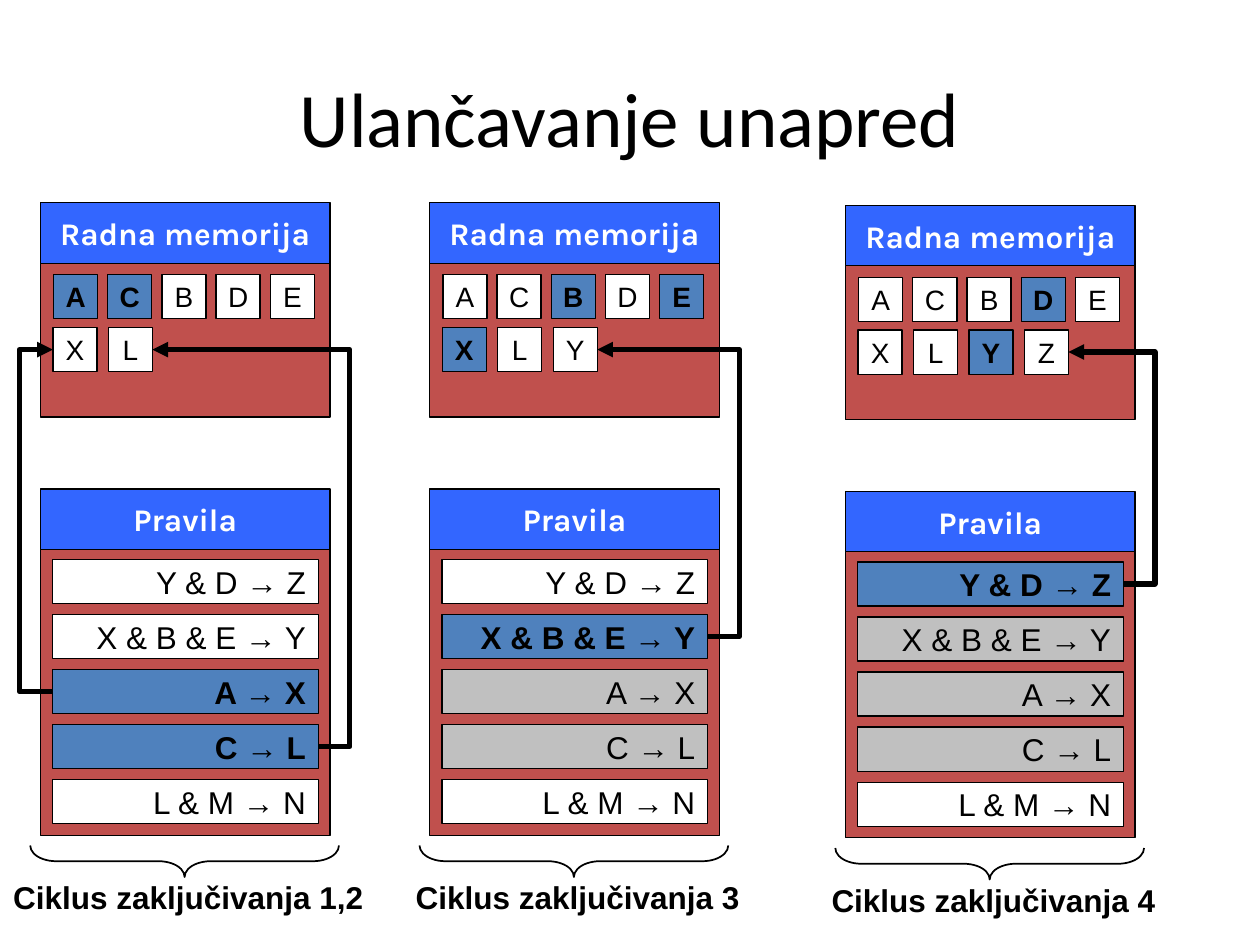
from dataclasses import dataclass

from lxml import etree
from pptx import Presentation
from pptx.dml.color import RGBColor
from pptx.enum.shapes import MSO_CONNECTOR, MSO_SHAPE
from pptx.enum.text import MSO_ANCHOR, PP_ALIGN
from pptx.oxml.ns import qn
from pptx.util import Inches, Pt

RECTANGLE, BRACE = MSO_SHAPE.RECTANGLE, MSO_SHAPE.LEFT_BRACE
ELBOW = MSO_CONNECTOR.ELBOW
TOP, MIDDLE = MSO_ANCHOR.TOP, MSO_ANCHOR.MIDDLE
CENTER, RIGHT = PP_ALIGN.CENTER, PP_ALIGN.RIGHT

BLACK = RGBColor(0x00, 0x00, 0x00)
WHITE = RGBColor(0xFF, 0xFF, 0xFF)
HEADER_BLUE = RGBColor(0x33, 0x66, 0xFF)
PANEL_RED = RGBColor(0xC0, 0x50, 0x4D)
ACTIVE_BLUE = RGBColor(0x4F, 0x81, 0xBD)
SPENT_GRAY = RGBColor(0xC0, 0xC0, 0xC0)

COLUMNS, ROWS = 100, 75
PANEL_WIDTH, HEADER_HEIGHT = 23, 4.8
FACT_SIZE = 3.5
FACT_ROWS = ((1.05, 5.7, 4.3), (1, 9.9, 4.4))
RULE_LEFT, RULE_TOP, RULE_PITCH = 0.97, 28.3, 4.37
RULE_WIDTH, RULE_HEIGHT = 21.1, 3.5
ELBOW_REACH = 2.5

RULES = ("Y & D → Z", "X & B & E → Y", "A → X", "C → L", "L & M → N")


@dataclass
class Cycle:
    """One inference cycle: its place, facts, rules and conclusions."""
    number: str
    left: float
    top: float
    derived: str
    active_facts: str
    active_rules: tuple
    spent_rules: tuple


CYCLES = (
    Cycle("1,2", 3.2, 16.1, "XL", "AC", (2, 3), ()),
    Cycle("3", 34.1, 16.1, "XLY", "BEX", (1,), (2, 3)),
    Cycle("4", 67.1, 16.3, "XLYZ", "DY", (0,), (1, 2, 3)),
)


class ChainingSlide:
    """Draws parts of the chaining diagram on a grid of columns and rows."""

    def __init__(self, deck):
        self.column = deck.slide_width / COLUMNS
        self.row = deck.slide_height / ROWS
        self.shapes = deck.slides.add_slide(deck.slide_layouts[6]).shapes

    def place(self, left, top, width, height):
        return (round(left * self.column), round(top * self.row),
                round(width * self.column), round(height * self.row))

    def add_words(self, shape, words, size, font="Arial", color=BLACK,
                  bold=False, align=CENTER, anchor=MIDDLE, wrap=False):
        frame = shape.text_frame
        frame.word_wrap = wrap
        frame.vertical_anchor = anchor
        paragraph = frame.paragraphs[0]
        paragraph.alignment = align
        run = paragraph.add_run()
        run.text = words
        run.font.size = Pt(size)
        run.font.name = font
        run.font.bold = bold
        run.font.color.rgb = color

    def label(self, box, words, size, **style):
        self.add_words(self.shapes.add_textbox(*self.place(*box)), words, size, **style)

    def block(self, box, fill):
        block = self.shapes.add_shape(RECTANGLE, *self.place(*box))
        block.shadow.inherit = False
        block.fill.solid()
        block.fill.fore_color.rgb = fill
        block.line.color.rgb = BLACK
        block.line.width = Pt(0.75)
        return block

    def panel(self, left, top, height, heading):
        self.block((left, top + HEADER_HEIGHT - 0.1, PANEL_WIDTH, height), PANEL_RED)
        header = self.block((left, top, PANEL_WIDTH, HEADER_HEIGHT), HEADER_BLUE)
        self.add_words(header, heading, 18, font="Karla", color=WHITE, bold=True)

    def facts(self, cycle):
        for letters, (start, drop, pitch) in zip(("ACBDE", cycle.derived), FACT_ROWS):
            for index, letter in enumerate(letters):
                active = letter in cycle.active_facts
                fact = self.block((cycle.left + start + index * pitch, cycle.top + drop,
                                   FACT_SIZE, FACT_SIZE), ACTIVE_BLUE if active else WHITE)
                self.add_words(fact, letter, 16, bold=active)

    def rules(self, cycle):
        for index, words in enumerate(RULES):
            active = index in cycle.active_rules
            idle = SPENT_GRAY if index in cycle.spent_rules else WHITE
            rule = self.block((cycle.left + RULE_LEFT, cycle.top + RULE_TOP + index * RULE_PITCH,
                               RULE_WIDTH, RULE_HEIGHT), ACTIVE_BLUE if active else idle)
            self.add_words(rule, words, 18, bold=active, align=RIGHT)

    def arrow(self, start, end, bend):
        left, top, right, bottom = self.place(*start, *end)
        arrow = self.shapes.add_connector(ELBOW, left, top, right, bottom)
        arrow.line.color.rgb = BLACK
        arrow.line.width = Pt(3)
        properties = arrow._element.spPr
        guides = properties.find(qn("a:prstGeom")).get_or_add_avLst()
        share = round(100000 * (bend - start[0]) / (end[0] - start[0]))
        etree.SubElement(guides, qn("a:gd"), name="adj1", fmla=f"val {share}")
        etree.SubElement(properties.find(qn("a:ln")), qn("a:tailEnd"), type="triangle")
        etree.SubElement(properties, qn("a:effectLst"))

    def conclusions(self, cycle):
        start, drop, pitch = FACT_ROWS[1]
        fact_y = cycle.top + drop + FACT_SIZE / 2
        for rule in cycle.active_rules:
            rule_y = cycle.top + RULE_TOP + rule * RULE_PITCH + RULE_HEIGHT / 2
            fact = cycle.derived.index(RULES[rule][-1])
            fact_x = cycle.left + start + fact * pitch
            rule_x = cycle.left + RULE_LEFT
            reach = -ELBOW_REACH
            if fact:
                fact_x += FACT_SIZE
                rule_x += RULE_WIDTH
                reach = ELBOW_REACH
            self.arrow((rule_x, rule_y), (fact_x, fact_y), rule_x + reach)

    def caption(self, cycle):
        brace = self.shapes.add_shape(
            BRACE, *self.place(cycle.left + 10.2, cycle.top + 40, 2.5, 24.5))
        brace.rotation = 270
        brace.adjustments[0] = 0.82
        brace.shadow.inherit = False
        brace.fill.background()
        brace.line.color.rgb = BLACK
        brace.line.width = Pt(1)
        self.label((cycle.left - 3.25, cycle.top + 53.1, 30, 4),
                   f"Ciklus zaključivanja {cycle.number}", 18, bold=True, anchor=TOP)

    def cycle(self, cycle):
        self.panel(cycle.left, cycle.top, 12.3, "Radna memorija")
        self.panel(cycle.left, cycle.top + 22.7, 22.8, "Pravila")
        self.facts(cycle)
        self.rules(cycle)
        self.conclusions(cycle)
        self.caption(cycle)


def main():
    deck = Presentation()
    deck.slide_width, deck.slide_height = Inches(10), Inches(7.5)
    slide = ChainingSlide(deck)
    slide.label((5, 3, 90, 12.5), "Ulančavanje unapred", 44, font="Calibri", wrap=True)
    for cycle in CYCLES:
        slide.cycle(cycle)
    deck.save("out.pptx")


if __name__ == "__main__":
    main()
